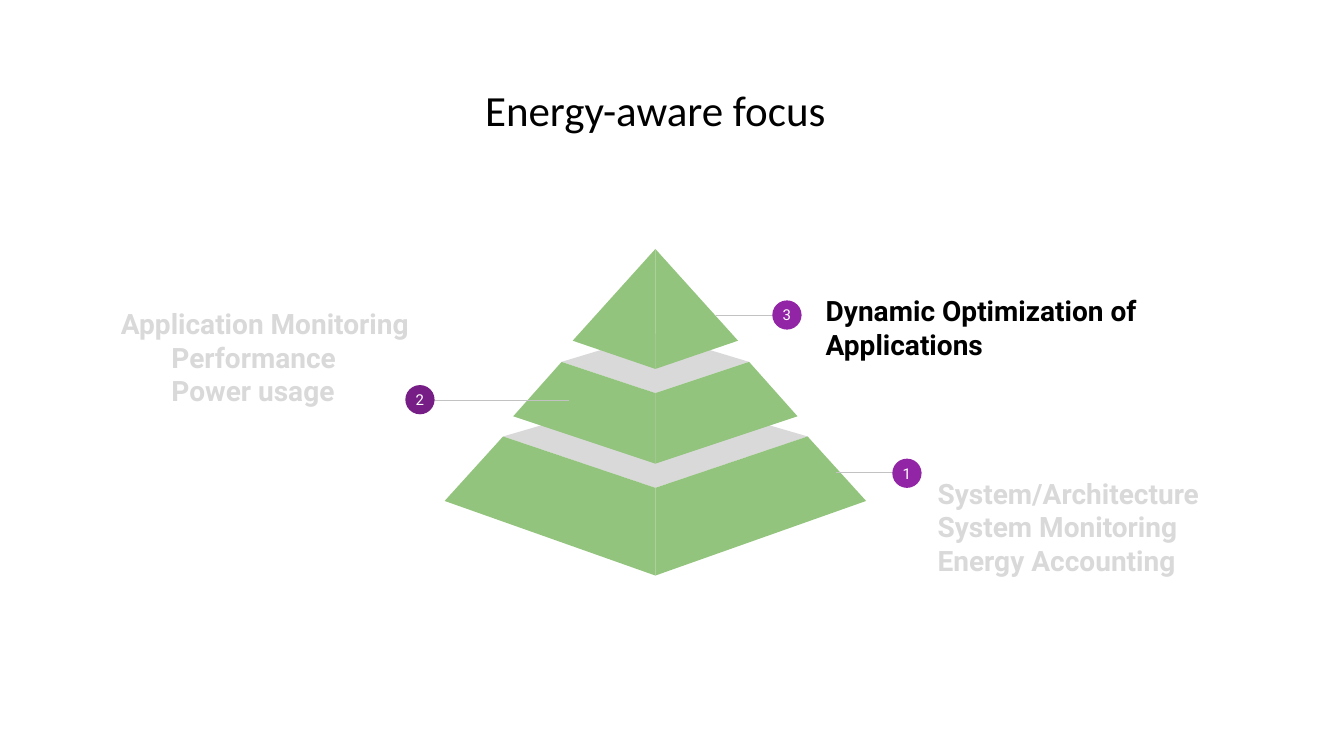
from dataclasses import dataclass

from lxml import etree
from pptx import Presentation
from pptx.dml.color import RGBColor
from pptx.enum import shapes, text
from pptx.oxml import ns
from pptx.util import Inches, Pt


@dataclass(frozen=True)
class Theme:
    face: str = "93C47D"
    pale: str = "D9D9D9"
    line: str = "C2C2C2"
    violet: str = "9225A5"
    dark_violet: str = "761E86"
    black: str = "000000"
    white: str = "FFFFFF"
    title_font: str = "Calibri"
    body_font: str = "Roboto"
    title_size: float = 30.7
    label_size: float = 20
    badge_size: float = 10.7


THEME = Theme()
AXIS = 6.5  # vertical centre line of the pyramid
BADGE = 0.29

# Visible top surface of each tier, then the left half of its front
TIERS = [
    ([(4.99, 4.33), (6.5, 4.84), (8.01, 4.33), (6.5, 3.89)],
     [(4.99, 4.33), (4.41, 4.97), (6.5, 5.71), (6.5, 4.84)]),
    ([(5.57, 3.59), (6.5, 3.9), (7.43, 3.59), (6.5, 3.31)],
     [(5.57, 3.59), (5.09, 4.13), (6.5, 4.6), (6.5, 3.9)]),
    ([], [(6.5, 2.47), (5.68, 3.38), (6.5, 3.66)]),
]

# Number, badge left and top, badge colour, line start, line end, line height
CALLOUTS = [
    ("3", 7.66, 2.98, THEME.violet, 7.1, 7.95, 3.13),
    ("2", 4.02, 3.82, THEME.dark_violet, 5.64, 4.11, 3.97),
    ("1", 8.85, 4.55, THEME.violet, 8.29, 9.14, 4.69),
]

# Left, top, bottom inset, colour, lines as (text, indent)
LABELS = [
    (8.06, 2.32, 0.3, THEME.black,
     [("Dynamic Optimization of Applications", 0)]),
    (9.17, 4.38, 0.46, THEME.pale,
     [("System/Architecture", 0), ("System Monitoring", 0), ("Energy Accounting", 0)]),
    (1.07, 2.53, 0.13, THEME.pale,
     [("Application Monitoring", 0), ("Performance", 0.5), ("Power usage", 0.5)]),
]


def paint(sp, color):
    sp.shadow.inherit = False
    sp.fill.solid()
    sp.fill.fore_color.rgb = RGBColor.from_string(color)
    sp.line.fill.background()


def set_insets(tf, side, bottom=None):
    tf.margin_left = tf.margin_right = tf.margin_top = Inches(side)
    tf.margin_bottom = Inches(side if bottom is None else bottom)


def style(p, font, size, color, bold=False):
    for r in p.runs:
        r.font.name = font
        r.font.size = Pt(size)
        r.font.bold = bold
        r.font.color.rgb = RGBColor.from_string(color)


def add_polygon(s, points, color):
    corners = [(Inches(x), Inches(y)) for x, y in points]
    outline = s.shapes.build_freeform(*corners[0], scale=1.0)
    outline.add_line_segments(corners[1:], close=True)
    paint(outline.convert_to_shape(), color)


def add_tier(s, top, left_front):
    if top:
        add_polygon(s, top, THEME.pale)
    add_polygon(s, left_front, THEME.face)
    add_polygon(s, [(2 * AXIS - x, y) for x, y in left_front], THEME.face)


def add_callout(s, number, left, top, color, start, end, y):
    line = s.shapes.add_connector(shapes.MSO_CONNECTOR.STRAIGHT,
                                  Inches(start), Inches(y), Inches(end), Inches(y))
    line.line.color.rgb = RGBColor.from_string(THEME.line)
    line.line.width = Pt(0.75)
    etree.SubElement(line._element.spPr, ns.qn("a:effectLst"))

    sp = s.shapes.add_shape(shapes.MSO_SHAPE.OVAL, Inches(left), Inches(top),
                            Inches(BADGE), Inches(BADGE))
    paint(sp, color)
    tf = sp.text_frame
    set_insets(tf, 0)
    tf.word_wrap = False
    tf.vertical_anchor = text.MSO_ANCHOR.MIDDLE
    tf.text = number
    p = tf.paragraphs[0]
    p.alignment = text.PP_ALIGN.CENTER
    style(p, THEME.body_font, THEME.badge_size, THEME.white)


def add_label(s, left, top, bottom_inset, color, lines):
    tf = s.shapes.add_textbox(Inches(left), Inches(top), Inches(3.57), Inches(2.02)).text_frame
    tf.word_wrap = True
    tf.vertical_anchor = text.MSO_ANCHOR.MIDDLE
    set_insets(tf, 0.13, bottom_inset)
    tf.text = "\n".join(line for line, _ in lines)
    for p, (_, indent) in zip(tf.paragraphs, lines):
        style(p, THEME.body_font, THEME.label_size, color, bold=True)
        if indent:
            p.level = 1
            pPr = p._p.get_or_add_pPr()
            pPr.set("marL", str(Inches(indent)))
            pPr.set("indent", "0")


def add_title(s, title):
    tf = s.shapes.add_textbox(Inches(4.46), Inches(0.73), Inches(4.08), Inches(0.72)).text_frame
    tf.word_wrap = True
    tf.auto_size = text.MSO_AUTO_SIZE.SHAPE_TO_FIT_TEXT
    set_insets(tf, 0.1)
    tf.text = title
    p = tf.paragraphs[0]
    p.alignment = text.PP_ALIGN.CENTER
    style(p, THEME.title_font, THEME.title_size, THEME.black)


def main():
    prs = Presentation()
    prs.slide_width, prs.slide_height = Inches(13.33), Inches(7.5)
    s = prs.slides.add_slide(prs.slide_layouts[6])

    add_title(s, "Energy-aware focus")
    # Pyramid, from the base up
    for tier in TIERS:
        add_tier(s, *tier)
    # Numbered leader lines and their labels
    for callout in CALLOUTS:
        add_callout(s, *callout)
    for label in LABELS:
        add_label(s, *label)

    prs.save("out.pptx")


if __name__ == "__main__":
    main()
